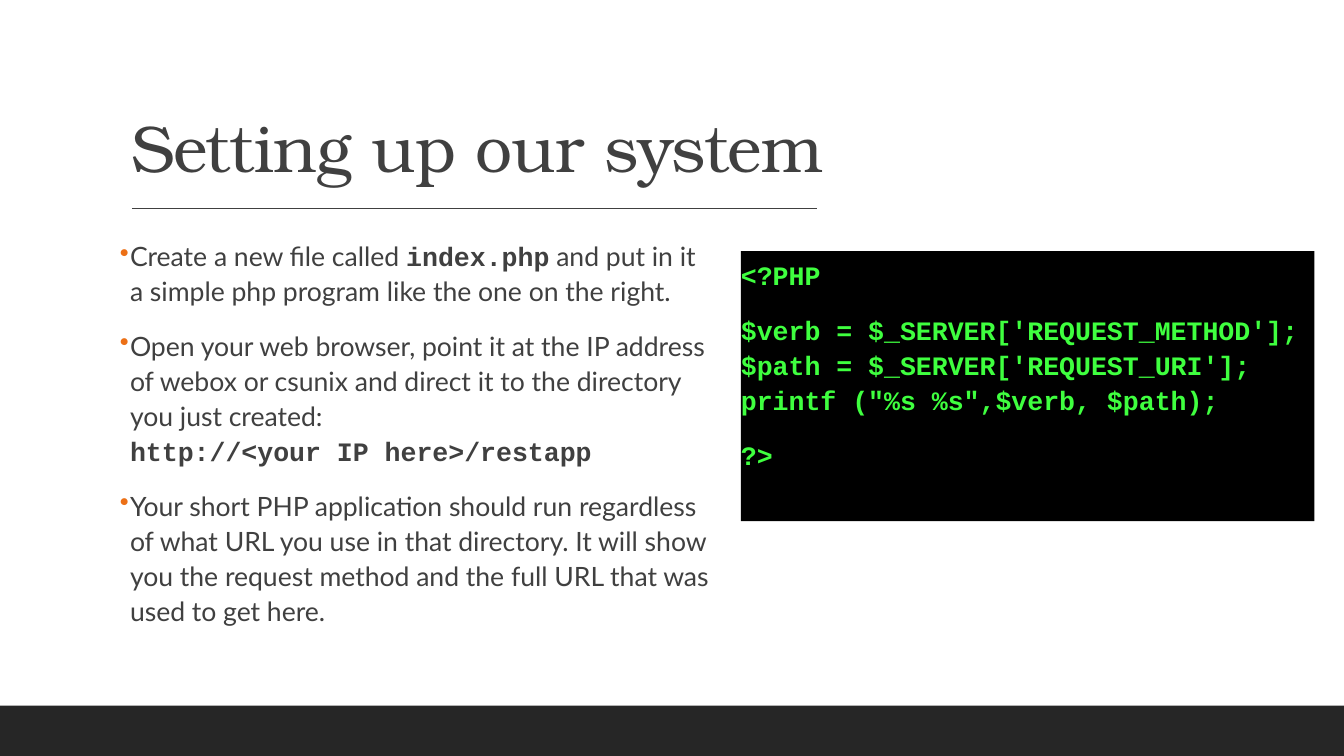
from dataclasses import dataclass

from lxml.etree import SubElement
from pptx import Presentation
from pptx.dml.color import RGBColor
from pptx.enum.shapes import MSO_CONNECTOR, MSO_SHAPE
from pptx.enum.text import MSO_ANCHOR, MSO_AUTO_SIZE, PP_ALIGN
from pptx.oxml.ns import qn
from pptx.util import Pt


@dataclass(frozen=True)
class Theme:
    paper: RGBColor = RGBColor(0xFF, 0xFF, 0xFF)
    ink: RGBColor = RGBColor(0x40, 0x40, 0x40)
    footer: RGBColor = RGBColor(0x26, 0x26, 0x26)
    screen: RGBColor = RGBColor(0, 0, 0)
    code: RGBColor = RGBColor(0x3F, 0xFF, 0x3F)
    bullet: str = "EC7016"
    title_font: str = "TeX Gyre Bonum"
    body_font: str = "Lato"
    code_font: str = "Courier New"
    title_size: int = 47
    text_size: int = 19


def apply(target, values):
    for name, value in values.items():
        setattr(target, name, value)


class SlideBuilder:
    def __init__(self, slide, theme):
        self.slide = slide
        self.theme = theme
        slide.background.fill.solid()
        slide.background.fill.fore_color.rgb = theme.paper

    def style(self, run, font, size, color, bold=False):
        apply(run.font, {"name": font, "size": Pt(size), "bold": bold})
        run.font.color.rgb = color

    def title(self, text, left, top, width, height):
        heading = self.slide.shapes.title
        apply(heading, {"left": Pt(left), "top": Pt(top),
                        "width": Pt(width), "height": Pt(height)})
        apply(heading.text_frame, {"word_wrap": True, "auto_size": MSO_AUTO_SIZE.NONE,
                                   "vertical_anchor": MSO_ANCHOR.BOTTOM})
        paragraph = heading.text_frame.paragraphs[0]
        apply(paragraph, {"alignment": PP_ALIGN.LEFT, "line_spacing": 0.9})
        run = paragraph.add_run()
        run.text = text
        self.style(run, self.theme.title_font, self.theme.title_size, self.theme.ink)
        run.font._element.set("spc", "-50")

    def rule(self, left, right, y):
        underline = self.slide.shapes.add_connector(
            MSO_CONNECTOR.STRAIGHT, Pt(left), Pt(y), Pt(right), Pt(y))
        underline.line.color.rgb = self.theme.ink
        underline.line.width = Pt(1)
        SubElement(underline._element.spPr, qn("a:effectLst"))

    def panel(self, color, left, top, width, height):
        block = self.slide.shapes.add_shape(
            MSO_SHAPE.RECTANGLE, Pt(left), Pt(top), Pt(width), Pt(height))
        block.shadow.inherit = False
        block.fill.solid()
        block.fill.fore_color.rgb = color
        block.line.fill.background()
        return block

    def add_bullet(self, paragraph):
        properties = paragraph._p.get_or_add_pPr()
        properties.set("marL", str(Pt(7.2)))
        properties.set("indent", str(-Pt(7.2)))
        color = SubElement(properties, qn("a:buClr"))
        SubElement(color, qn("a:srgbClr"), val=self.theme.bullet)
        SubElement(properties, qn("a:buChar"), char="•")

    def fill_text(self, frame, paragraphs, color, bulleted=False):
        apply(frame, {"word_wrap": True, "auto_size": MSO_AUTO_SIZE.NONE,
                      "vertical_anchor": MSO_ANCHOR.TOP,
                      "margin_left": 0, "margin_right": 0,
                      "margin_top": Pt(3.6), "margin_bottom": Pt(3.6)})
        for index, pieces in enumerate(paragraphs):
            paragraph = frame.add_paragraph() if index else frame.paragraphs[0]
            apply(paragraph, {"alignment": PP_ALIGN.LEFT, "line_spacing": 1.1,
                              "space_before": Pt(12), "space_after": Pt(2)})
            if bulleted:
                self.add_bullet(paragraph)
            for text, is_code in pieces:
                for row, line in enumerate(text.split("\n")):
                    if row:
                        paragraph.add_line_break()
                    if line:
                        run = paragraph.add_run()
                        run.text = line
                        font = self.theme.code_font if is_code else self.theme.body_font
                        self.style(run, font, self.theme.text_size, color, is_code)

    def bullets(self, paragraphs, left, top, width, height):
        steps = self.slide.shapes.add_textbox(Pt(left), Pt(top), Pt(width), Pt(height))
        self.fill_text(steps.text_frame, paragraphs, self.theme.ink, bulleted=True)

    def code(self, blocks, left, top, width, height):
        screen = self.panel(self.theme.screen, left, top, width, height)
        self.fill_text(screen.text_frame, [[(block, True)] for block in blocks],
                       self.theme.code)


STEPS = [
    [("Create a new file called ", False), ("index.php", True),
     (" and put in it a simple php program like the one on the right.", False)],
    [("Open your web browser, point it at the IP address of webox or csunix "
      "and direct it to the directory you just created: \n", False),
     ("http://<your IP here>/restapp", True)],
    [("Your short PHP application should run regardless of what URL you use in "
      "that directory. It will show you the request method and the full URL "
      "that was used to get here.", False)],
]
PROGRAM = [
    "<?PHP",
    "$verb = $_SERVER['REQUEST_METHOD'];\n"
    "$path = $_SERVER['REQUEST_URI'];\n"
    'printf ("%s %s",$verb, $path);',
    "?>",
]


def main():
    deck = Presentation()
    apply(deck, {"slide_width": Pt(960), "slide_height": Pt(540)})
    theme = Theme()
    page = SlideBuilder(deck.slides.add_slide(deck.slide_layouts[5]), theme)
    page.title("Setting up our system", 86.4, 22.3, 704, 114.5)
    page.rule(94.3, 583.9, 149)
    page.bullets(STEPS, 85.7, 165.6, 422.6, 296)
    page.panel(theme.footer, 0, 504, 960, 36)
    page.code(PROGRAM, 529.2, 179.3, 409.7, 193)
    deck.save("out.pptx")


if __name__ == "__main__":
    main()
